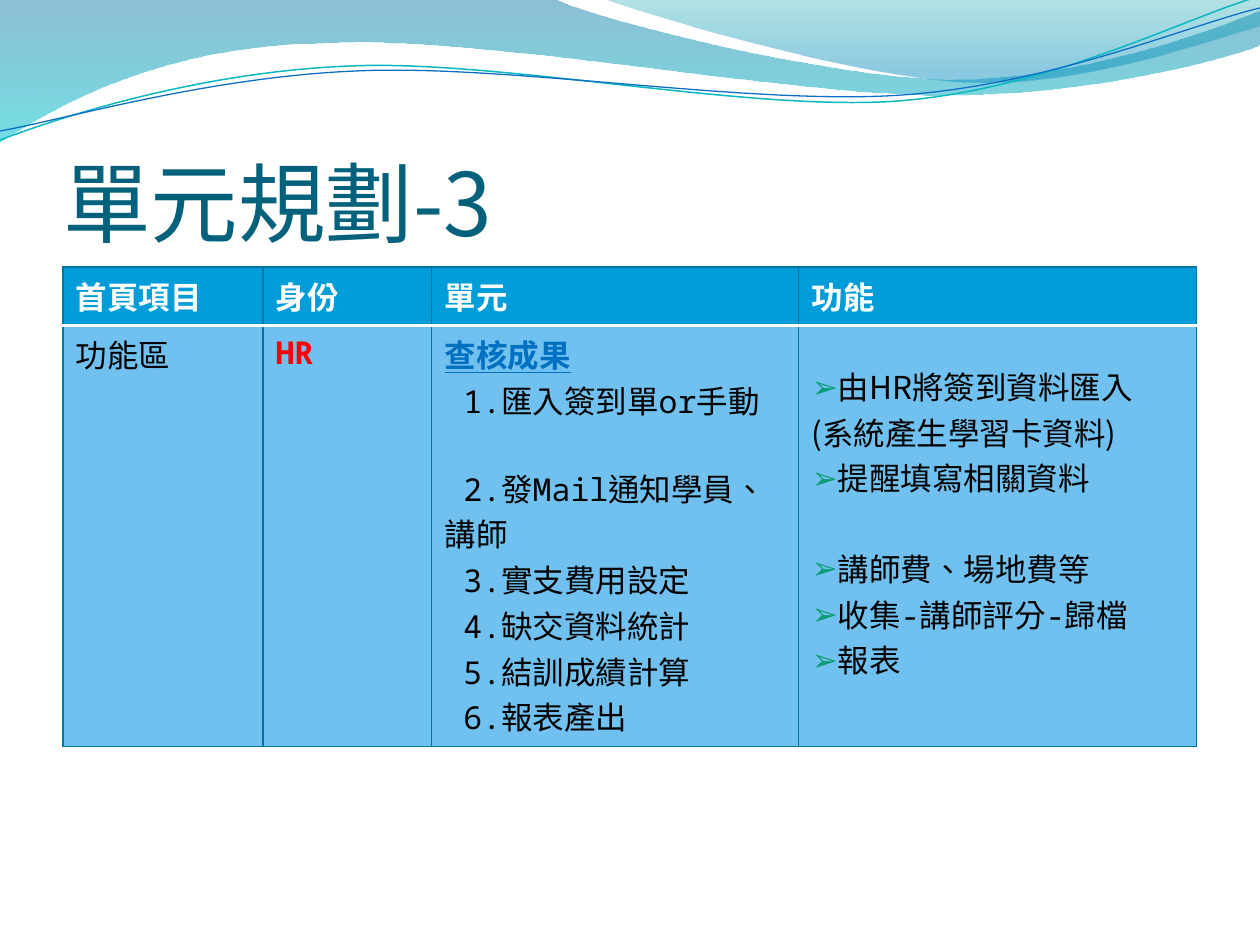
"""Build the unit planning slide with its wave header and function table."""
from dataclasses import dataclass
from typing import Optional

import lxml.etree
import pptx
import pptx.dml.color
import pptx.enum.lang
import pptx.enum.text
import pptx.oxml.ns
import pptx.util

RGBColor = pptx.dml.color.RGBColor
Point = tuple[int, int]

PX = 914400 / 126
WHITE = RGBColor(0xFF, 0xFF, 0xFF)
BLACK = RGBColor(0, 0, 0)
RED = RGBColor(0xFF, 0, 0)
TITLE_TEAL = RGBColor(0x04, 0x61, 0x7B)
HEADING_BLUE = RGBColor(0x00, 0x70, 0xC0)
BULLET_GREEN = RGBColor(0x0C, 0x9B, 0x74)
HEADER_FILL = RGBColor(0x00, 0x9D, 0xD9)
BODY_FILL = RGBColor(0x70, 0xC1, 0xEF)
DEEP_BLUE = RGBColor(0x00, 0x74, 0xA1)
CYAN = RGBColor(0x00, 0xC6, 0xCF)
TEAL = RGBColor(0x00, 0xA1, 0xA9)
SKY = RGBColor(0x00, 0x8B, 0xBF)
LINE_TEAL = RGBColor(0x0A, 0xB8, 0xBF)
LINE_BLUE = RGBColor(0x0F, 0x6F, 0xC6)
SANS = "Noto Sans CJK SC"
MONO = "Noto Sans Mono"
SERIF = "TeX Gyre Pagella"


@dataclass(frozen=True)
class Stop:
    """A gradient stop with its opacity in percent."""
    position: float
    color: RGBColor
    opacity: int


@dataclass(frozen=True)
class Wave:
    """An outline whose segments hold one point (line) or three (curve)."""
    start: Point
    segments: list[list[Point]]
    stops: tuple[Stop, ...] = ()
    line: Optional[RGBColor] = None
    width: float = 0.75


@dataclass(frozen=True)
class Line:
    """One paragraph of a table cell."""
    text: str
    font: str = MONO
    color: RGBColor = BLACK
    bold: bool = False
    underline: bool = False
    bullet: bool = False
    before: int = 0


@dataclass(frozen=True)
class Column:
    """A table column with its header and body text."""
    width: int
    header: Line
    body: list[Line]
    top_margin: int = 6


WAVES = [
    Wave((0, 0), [[(554, -1)], [(600, 21), (837, 79), (955, 79)],
                  [(1075, 79), (1207, 33), (1260, 11)], [(1261, 45)],
                  [(1239, 55), (1096, 96), (940, 95)],
                  [(783, 95), (481, 35), (324, 43)],
                  [(163, 45), (58, 105), (-1, 142)]],
         stops=(Stop(0, DEEP_BLUE, 45), Stop(1, CYAN, 55))),
    Wave((604, -1), [[(641, 14), (859, 78), (969, 82)],
                     [(1079, 87), (1211, 40), (1260, 26)], [(1260, 0)]],
         stops=(Stop(0, TEAL, 30), Stop(0.8, SKY, 45))),
    Wave((0, 140), [[(60, 117), (199, 72), (349, 66)],
                    [(498, 59), (747, 112), (898, 101)],
                    [(1050, 89), (1182, 19), (1257, -3)]],
         line=LINE_TEAL, width=0.85),
    Wave((0, 131), [[(59, 121), (207, 77), (357, 71)],
                    [(508, 64), (752, 106), (903, 95)],
                    [(1053, 84), (1186, 26), (1260, 8)]],
         line=LINE_BLUE),
]

COLUMNS = [
    Column(200, Line("首頁項目", MONO, WHITE, True), [Line("功能區")]),
    Column(169, Line("身份", SERIF, WHITE, True), [Line("HR", MONO, RED, True)]),
    Column(367, Line("單元", MONO, WHITE, True), [
        Line("查核成果", MONO, HEADING_BLUE, True, True),
        Line(" 1.匯入簽到單or手動"),
        Line(" 2.發Mail通知學員、講師", before=42),
        Line(" 3.實支費用設定"),
        Line(" 4.缺交資料統計"),
        Line(" 5.結訓成績計算"),
        Line(" 6.報表產出")]),
    Column(398, Line("功能", MONO, WHITE, True), [
        Line("由HR將簽到資料匯入", SANS, bullet=True),
        Line("(系統產生學習卡資料)", SANS),
        Line("提醒填寫相關資料", SANS, bullet=True),
        Line("講師費、場地費等", SANS, bullet=True, before=45),
        Line("收集-講師評分-歸檔", bullet=True),
        Line("報表", bullet=True)], top_margin=38),
]


def px(length: int) -> pptx.util.Emu:
    """Turn pixels into EMU."""
    return pptx.util.Emu(round(length * PX))


def add_child(parent, tag: str, **attributes: str):
    """Append a DrawingML element."""
    return lxml.etree.SubElement(parent, pptx.oxml.ns.qn(tag), attributes)


def bend(shape, segments: list[list[Point]]) -> None:
    """Join each run of three straight steps into one Bézier curve."""
    steps = iter(shape._element.spPr.findall(".//" + pptx.oxml.ns.qn("a:lnTo")))
    for segment in segments:
        first, *others = [next(steps) for _ in segment]
        if others:
            first.tag = pptx.oxml.ns.qn("a:cubicBezTo")
        for step in others:
            first.append(step[0])
            step.getparent().remove(step)


def draw_wave(slide, wave: Wave) -> None:
    """Draw a gradient wave or a thin wavy line."""
    points = [point for segment in wave.segments for point in segment]
    builder = slide.shapes.build_freeform(*wave.start, scale=PX)
    builder.add_line_segments(points, close=bool(wave.stops))
    shape = builder.convert_to_shape()
    bend(shape, wave.segments)
    shape.shadow.inherit = False
    if wave.line is not None:
        shape.fill.background()
        shape.line.color.rgb = wave.line
        shape.line.width = pptx.util.Pt(wave.width)
        return
    shape.line.fill.background()
    shape.fill.gradient()
    shape.fill.gradient_angle = 270
    for target, stop in zip(shape.fill.gradient_stops, wave.stops):
        target.color.rgb = stop.color
        target.position = stop.position
    colors = shape._element.spPr.findall(".//" + pptx.oxml.ns.qn("a:srgbClr"))
    for color, stop in zip(colors, wave.stops):
        add_child(color, "a:alpha", val=str(stop.opacity * 1000))


def write_line(paragraph, line: Line, size: int = 18) -> None:
    """Write one formatted paragraph."""
    if line.before:
        paragraph.space_before = px(line.before)
    if line.bullet:
        properties = paragraph._p.get_or_add_pPr()
        add_child(add_child(properties, "a:buClr"), "a:srgbClr", val=str(BULLET_GREEN))
        add_child(properties, "a:buFont", typeface=MONO)
        add_child(properties, "a:buChar", char="➢")
    run = paragraph.add_run()
    run.text = line.text
    font = run.font
    font.name, font.size = line.font, pptx.util.Pt(size)
    font.bold, font.underline = line.bold, line.underline
    font.color.rgb = line.color
    font.language_id = pptx.enum.lang.MSO_LANGUAGE_ID.TRADITIONAL_CHINESE


def fill_cell(cell, lines: list[Line], fill: RGBColor, white_edge: str) -> None:
    """Write, border and fill a cell, with a white rule on one edge."""
    properties = cell._tc.get_or_add_tcPr()
    for edge in ("a:lnL", "a:lnR", "a:lnT", "a:lnB"):
        color, width = (WHITE, 2) if edge == white_edge else (DEEP_BLUE, 0.75)
        border = add_child(properties, edge, w=str(pptx.util.Pt(width)))
        add_child(add_child(border, "a:solidFill"), "a:srgbClr", val=str(color))
    cell.fill.solid()
    cell.fill.fore_color.rgb = fill
    frame = cell.text_frame
    for index, line in enumerate(lines):
        write_line(frame.add_paragraph() if index else frame.paragraphs[0], line)


def draw_title(slide) -> None:
    """Place and format the title."""
    title = slide.shapes.title
    title.left, title.top, title.width, title.height = map(px, (63, 97, 1134, 157))
    frame = title.text_frame
    frame.margin_left = frame.margin_right = frame.margin_bottom = 0
    frame.vertical_anchor = pptx.enum.text.MSO_ANCHOR.BOTTOM
    frame.paragraphs[0].alignment = pptx.enum.text.PP_ALIGN.LEFT
    write_line(frame.paragraphs[0], Line("單元規劃-3", SANS, TITLE_TEAL), 50)


def draw_table(slide) -> None:
    """Draw the function table."""
    width = sum(column.width for column in COLUMNS)
    table = slide.shapes.add_table(2, len(COLUMNS), *map(px, (63, 267, width, 479))).table
    table.horz_banding = False
    table.rows[0].height, table.rows[1].height = px(58), px(421)
    for index, column in enumerate(COLUMNS):
        table.columns[index].width = px(column.width)
        fill_cell(table.cell(0, index), [column.header], HEADER_FILL, "a:lnB")
        body = table.cell(1, index)
        fill_cell(body, column.body, BODY_FILL, "a:lnT")
        body.margin_top = px(column.top_margin)


def main() -> None:
    """Build and save the presentation."""
    presentation = pptx.Presentation()
    presentation.slide_width, presentation.slide_height = px(1260), px(945)
    slide = presentation.slides.add_slide(presentation.slide_layouts[5])
    for wave in WAVES:
        draw_wave(slide, wave)
    draw_title(slide)
    draw_table(slide)
    presentation.save("out.pptx")


if __name__ == "__main__":
    main()
